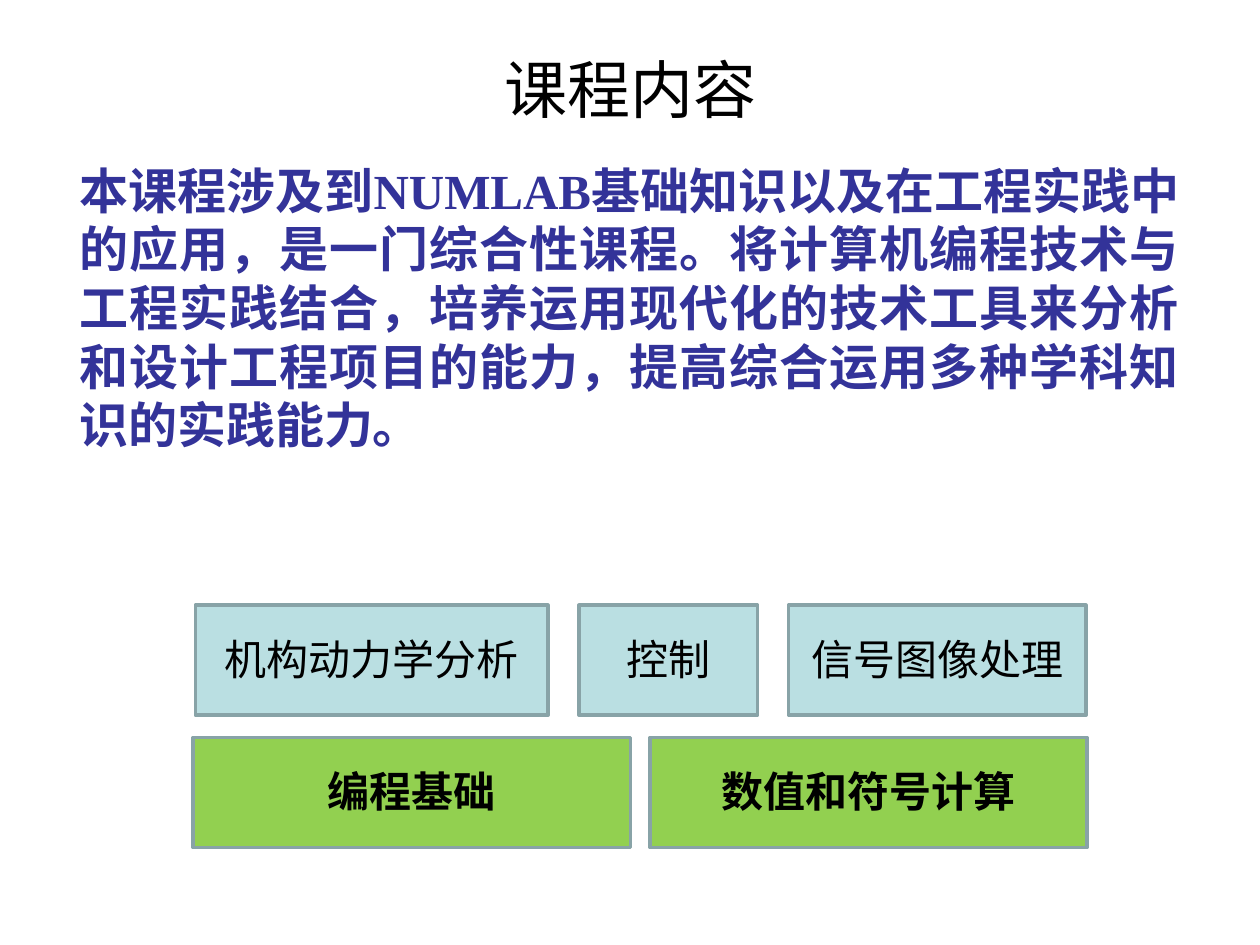
"""Build the course content slide with its topic blocks."""
from lxml import etree
from pptx import Presentation
from pptx.dml.color import RGBColor
from pptx.enum.shapes import MSO_SHAPE
from pptx.enum.text import MSO_ANCHOR, MSO_AUTO_SIZE, PP_ALIGN
from pptx.oxml.ns import qn
from pptx.util import Pt

RECTANGLE = MSO_SHAPE.RECTANGLE
TOP, MIDDLE = MSO_ANCHOR.TOP, MSO_ANCHOR.MIDDLE
CENTER, JUSTIFY = PP_ALIGN.CENTER, PP_ALIGN.JUSTIFY
NO_FIT = MSO_AUTO_SIZE.NONE

BLACK = RGBColor(0x00, 0x00, 0x00)
NAVY = RGBColor(0x33, 0x33, 0x99)
GREEN = RGBColor(0x92, 0xD0, 0x50)
PALE_BLUE = RGBColor(0xBA, 0xDF, 0xE2)
GREY = RGBColor(0x88, 0xA3, 0xA7)

TITLE_FONT = "Noto Sans CJK JP"
TEXT_FONT = "Noto Sans CJK SC"
LATIN_FONT = "Times New Roman"

INTRO = [
    ("本课程涉及到", TEXT_FONT),
    ("NUMLAB", LATIN_FONT),
    ("基础知识以及在工程实践中 的应用，是一门综合性课程。将计算机编程技术与 "
     "工程实践结合，培养运用现代化的技术工具来分析 和设计工程项目的能力，"
     "提高综合运用多种学科知 识的实践能力。", TEXT_FONT),
]
APPLICATIONS = [("机构动力学分析", 201.6), ("控制", 102.2), ("信号图像处理", 170)]
FOUNDATIONS = [("编程基础", 249.8), ("数值和符号计算", 249.8)]


class CoursePage:
    """Hold the current slide and the style of its elements."""

    def __init__(self, deck):
        self.page = deck.slides.add_slide(deck.slide_layouts[5])

    def frame(self, shape, anchor, top=0, bottom=0, wrap=True):
        """Set up the text frame of a shape and return its first paragraph."""
        frame = shape.text_frame
        frame.auto_size = NO_FIT
        frame.word_wrap = wrap
        frame.vertical_anchor = anchor
        frame.margin_left = frame.margin_right = 0
        frame.margin_top, frame.margin_bottom = Pt(top), Pt(bottom)
        return frame.paragraphs[0]

    def style(self, para, name, size, color, align, bold=False):
        """Format a paragraph for both Latin and East Asian text."""
        para.alignment = align
        font = para.font
        font.size, font.bold, font.name = Pt(size), bold, name
        font.color.rgb = color
        latin = para._p.pPr.find(qn("a:defRPr")).find(qn("a:latin"))
        east_asian = etree.Element(qn("a:ea"), typeface=name)
        latin.addnext(east_asian)

    def title(self, text):
        """Place and format the title placeholder."""
        box = self.page.shapes.title
        box.left, box.top, box.width, box.height = Pt(287), Pt(27.5), Pt(146), Pt(45.4)
        para = self.frame(box, MIDDLE, wrap=False)
        para.text = text
        self.style(para, TITLE_FONT, 36, BLACK, CENTER)

    def intro(self, spans):
        """Add the justified introduction."""
        box = self.page.shapes.add_textbox(Pt(45.4), Pt(90.7), Pt(628.5), Pt(170))
        para = self.frame(box, TOP, top=1)
        for text, name in spans:
            span = para.add_run()
            span.text = text
            if name != TEXT_FONT:
                span.font.name = name
        para.line_spacing = Pt(33.5)
        self.style(para, TEXT_FONT, 28, NAVY, JUSTIFY, bold=True)

    def block(self, text, left, top, width, fill, bold):
        """Add one labelled block."""
        box = self.page.shapes.add_shape(RECTANGLE, Pt(left), Pt(top), Pt(width), Pt(62.9))
        box.shadow.inherit = False
        box.fill.solid()
        box.fill.fore_color.rgb = fill
        box.line.color.rgb = GREY
        box.line.width = Pt(1.92)
        para = self.frame(box, MIDDLE, bottom=1.5)
        para.text = text
        self.style(para, TEXT_FONT, 24, BLACK, CENTER, bold)

    def block_row(self, blocks, left, top, gap, fill, bold=False):
        """Add blocks side by side with equal gaps."""
        for text, width in blocks:
            self.block(text, left, top, width, fill, bold)
            left += width + gap


def main():
    """Build and save the deck."""
    deck = Presentation()
    deck.slide_width, deck.slide_height = Pt(720), Pt(540)
    page = CoursePage(deck)
    page.title("课程内容")
    page.intro(INTRO)
    page.block_row(FOUNDATIONS, 110.4, 421.4, 11.2, GREEN, bold=True)
    page.block_row(APPLICATIONS, 111.6, 345.8, 17.6, PALE_BLUE)
    deck.save("out.pptx")


if __name__ == "__main__":
    main()
